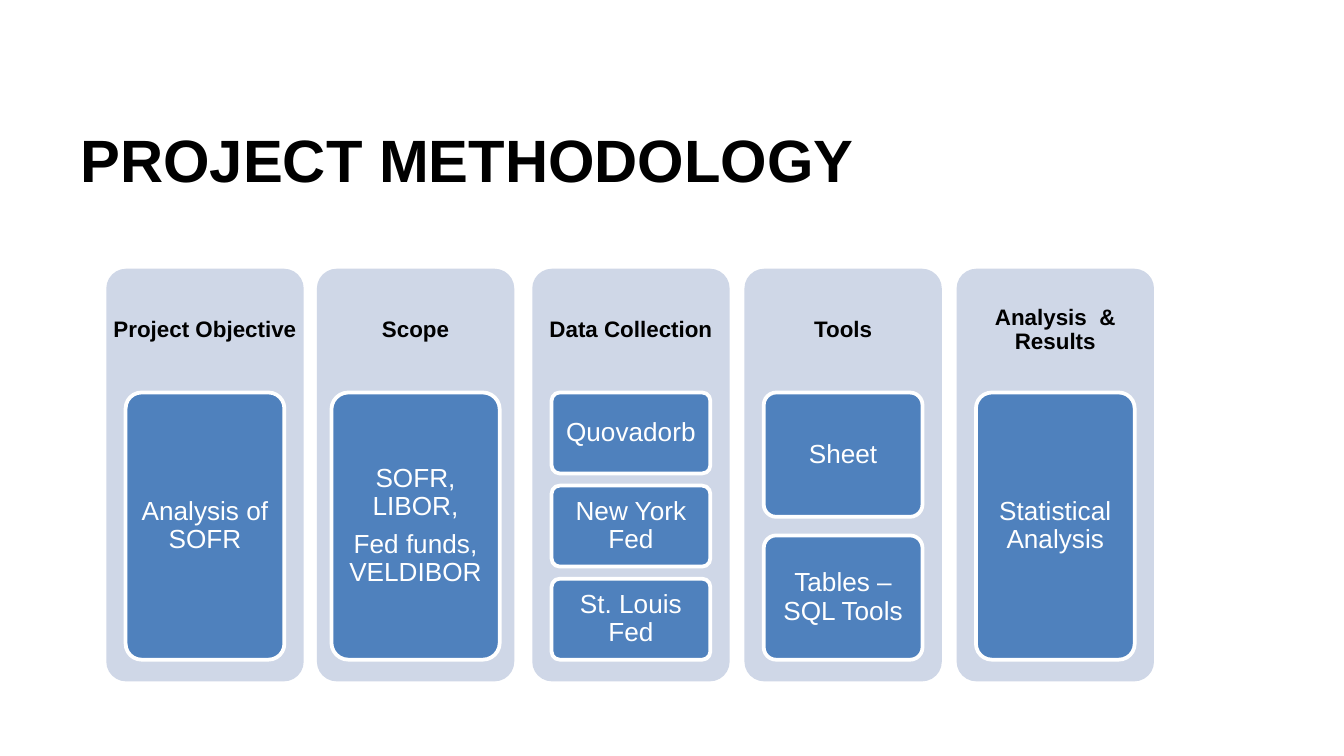
from pptx import Presentation
from pptx.dml.color import RGBColor
from pptx.enum.shapes import MSO_SHAPE
from pptx.enum.text import MSO_ANCHOR, PP_ALIGN
from pptx.util import Cm, Pt

COLORS = {"ink": "000000", "panel": "CFD7E7", "tile": "4F81BD", "white": "FFFFFF"}
PANEL_TOP, PANEL_WIDTH, PANEL_HEIGHT = 5.08, 3.73, 7.8
HEADING_HEIGHT = 2.34
TILES_HEIGHT, TILE_WIDTH, TILE_GAP_RATIO = 5.05, 3.0, 0.15
COLUMNS = [
    (2.01, "Project Objective", TILE_WIDTH, ["Analysis of SOFR"]),
    (5.99, "Scope", 3.18, ["SOFR, LIBOR,\nFed funds, VELDIBOR"]),
    (10.06, "Data Collection", TILE_WIDTH, ["Quovadorb", "New York Fed", "St. Louis Fed"]),
    (14.07, "Tools", TILE_WIDTH, ["Sheet", "Tables – SQL Tools"]),
    (18.08, "Analysis  & Results", TILE_WIDTH, ["Statistical Analysis"]),
]


def color(name):
    """Return the named palette colour."""
    return RGBColor.from_string(COLORS[name])


def write_text(shape, text, size, ink, bold=False, align=PP_ALIGN.CENTER,
               line_spacing=0.9, space_before=0, insets=(0.1, 0.08)):
    """Fill a shape with formatted text, one paragraph per line."""
    frame = shape.text_frame
    frame.word_wrap = True
    frame.vertical_anchor = MSO_ANCHOR.MIDDLE
    frame.margin_left = frame.margin_right = Cm(insets[0])
    frame.margin_top = frame.margin_bottom = Cm(insets[1])
    frame.text = text
    for index, paragraph in enumerate(frame.paragraphs):
        paragraph.alignment = align
        paragraph.line_spacing = line_spacing
        paragraph.space_before = Pt(space_before if index else 0)
        paragraph.space_after = Pt(0)
        for run in paragraph.runs:
            run.font.name = "Arial"
            run.font.size = Pt(size)
            run.font.bold = bold
            run.font.color.rgb = color(ink)


def add_title(slide, text):
    """Place and format the slide title."""
    title = slide.shapes.title
    title.left, title.top, title.width, title.height = Cm(1.27), Cm(1.88), Cm(22.86), Cm(2.24)
    write_text(title, text, size=32, ink="ink", bold=True, align=PP_ALIGN.LEFT,
               line_spacing=1.0, insets=(0.25, 0.13))


def add_rounded_box(shapes, left, top, width, height, fill, line=None):
    """Add a rounded rectangle with an optional outline."""
    box = shapes.add_shape(MSO_SHAPE.ROUNDED_RECTANGLE, Cm(left), Cm(top), Cm(width), Cm(height))
    box.adjustments[0] = 0.1
    box.shadow.inherit = False
    box.fill.solid()
    box.fill.fore_color.rgb = color(fill)
    if line:
        box.line.color.rgb = color(line)
        box.line.width = Pt(2)
    else:
        box.line.fill.background()
    return box


def add_column(slide, left, heading, tile_width, tiles):
    """Add a grouped panel with its heading and evenly stacked tiles."""
    shapes = slide.shapes.add_group_shape().shapes
    add_rounded_box(shapes, left, PANEL_TOP, PANEL_WIDTH, PANEL_HEIGHT, "panel")
    heading_box = shapes.add_textbox(Cm(left), Cm(PANEL_TOP), Cm(PANEL_WIDTH), Cm(HEADING_HEIGHT))
    write_text(heading_box, heading, size=12, ink="ink", bold=True, insets=(0.12, 0.12))

    count = len(tiles)
    tile_height = TILES_HEIGHT / (count + TILE_GAP_RATIO * (count - 1))
    tile_left = left + (PANEL_WIDTH - tile_width) / 2
    for index, text in enumerate(tiles):
        tile_top = PANEL_TOP + HEADING_HEIGHT + index * tile_height * (1 + TILE_GAP_RATIO)
        tile = add_rounded_box(shapes, tile_left, tile_top, tile_width, tile_height, "tile", "white")
        write_text(tile, text, size=14, ink="white", space_before=4.9)


def main():
    """Build the project methodology slide."""
    presentation = Presentation()
    presentation.slide_width, presentation.slide_height = Cm(25.4), Cm(14.29)
    slide = presentation.slides.add_slide(presentation.slide_layouts[5])
    add_title(slide, "PROJECT METHODOLOGY")
    for column in COLUMNS:
        add_column(slide, *column)
    presentation.save("out.pptx")


main()
